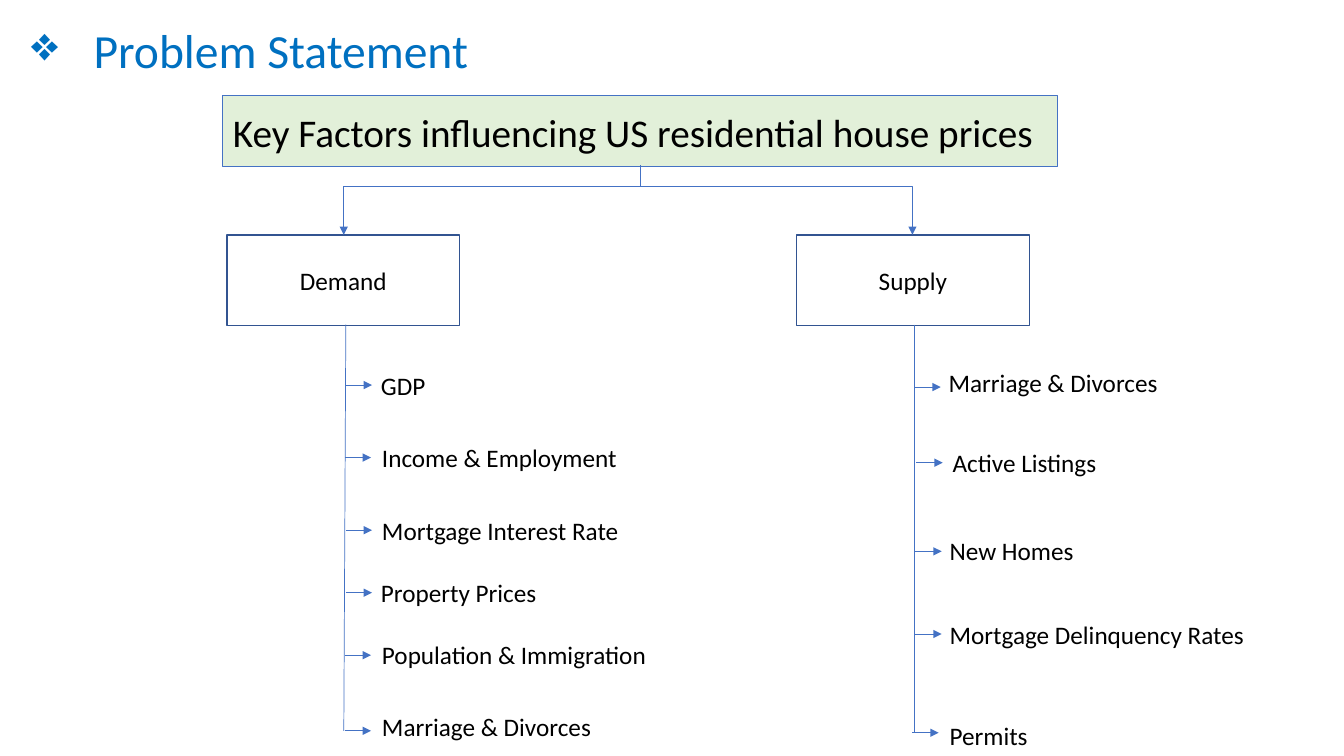
from lxml import etree
from pptx import Presentation
from pptx.dml.color import RGBColor
from pptx.enum import shapes, text
from pptx.oxml import ns
from pptx.util import Inches, Pt

HUES = {"text": "000000", "head": "0070C0", "line": "4472C4",
        "edge": "325491", "green": "E2F0D9"}


def write(shape, words, size, hue="text", align=text.PP_ALIGN.LEFT):
    frame = shape.text_frame
    frame.word_wrap = True
    para = frame.paragraphs[0]
    para.alignment = align
    run = para.add_run()
    run.text = words
    run.font.name = "Calibri"
    run.font.size = Pt(size)
    run.font.color.rgb = RGBColor.from_string(HUES[hue])
    return para


def link(group, ends, arrow=True, bent=False):
    kind = shapes.MSO_CONNECTOR.ELBOW if bent else shapes.MSO_CONNECTOR.STRAIGHT
    wire = group.add_connector(kind, *map(Inches, ends))
    wire.line.width = Pt(0.5)
    wire.line.color.rgb = RGBColor.from_string(HUES["line"])
    props = wire._element.spPr
    if bent:
        props.find(ns.qn("a:prstGeom")).set("prst", "bentConnector2")
    if arrow:
        etree.SubElement(props.find(ns.qn("a:ln")), ns.qn("a:tailEnd"), type="triangle")
    etree.SubElement(props, ns.qn("a:effectLst"))


deck = Presentation()
deck.slide_width, deck.slide_height = Inches(13.33), Inches(7.5)
slide = deck.slides.add_slide(deck.slide_layouts[5])
tree = slide.shapes

title = tree.title
title.left, title.top = Inches(2.21), Inches(0.95)
title.width, title.height = Inches(8.28), Inches(0.7)
title.fill.solid()
title.fill.fore_color.rgb = RGBColor.from_string(HUES["green"])
title.line.color.rgb = RGBColor.from_string(HUES["line"])
title.line.width = Pt(0.75)
frame = title.text_frame
frame.auto_size = text.MSO_AUTO_SIZE.NONE
frame.vertical_anchor = text.MSO_ANCHOR.MIDDLE
frame.margin_top = Inches(0.12)
write(title, "Key Factors influencing US residential house prices", 28).line_spacing = 0.9

head = tree.add_textbox(Inches(0.21), Inches(0.16), Inches(4.78), Inches(0.67))
para = write(head, "Problem Statement", 34, "head")
props = para._p.get_or_add_pPr()
props.set("marL", str(Inches(0.62)))
props.set("indent", str(-Inches(0.62)))
etree.SubElement(props, ns.qn("a:buChar"), char="❖")

link(tree, (6.35, 1.85, 6.35, 1.64), arrow=False)

sides = [
    ("Demand", 2.25, 3.41, (3.43, 3.22, 3.41, 7.25), [
        ("GDP", 3.43, 3.82, 3.68, 3.62),
        ("Income & Employment", 3.42, 4.54, 3.69, 4.34),
        ("Mortgage Interest Rate", 3.43, 5.26, 3.69, 5.06),
        ("Property Prices", 3.43, 5.88, 3.68, 5.68),
        ("Population & Immigration", 3.42, 6.5, 3.69, 6.29),
        ("Marriage & Divorces", 3.42, 7.25, 3.69, 7.01)]),
    ("Supply", 7.9, 9.05, (9.07, 3.22, 9.07, 7.27), [
        ("Marriage & Divorces", 9.07, 3.84, 9.31, 3.59),
        ("Active Listings", 9.09, 4.59, 9.35, 4.39),
        ("New Homes", 9.08, 5.47, 9.32, 5.26),
        ("Mortgage Delinquency Rates", 9.08, 6.29, 9.32, 6.09),
        ("Permits", 9.05, 7.27, 9.32, 7.1)]),
]
for name, left, drop, stem, items in sides:
    box = tree.add_shape(shapes.MSO_SHAPE.RECTANGLE, Inches(left), Inches(2.33),
                         Inches(2.31), Inches(0.9))
    box.shadow.inherit = False
    box.fill.background()
    box.line.color.rgb = RGBColor.from_string(HUES["edge"])
    box.line.width = Pt(1)
    box.text_frame.vertical_anchor = text.MSO_ANCHOR.MIDDLE
    write(box, name, 18, align=text.PP_ALIGN.CENTER)
    link(tree, (6.35, 1.85, drop, 2.33), bent=True)

    group = tree.add_group_shape().shapes
    link(group, stem, arrow=False)
    for label, start, level, x, y in items:
        link(group, (start, level, start + 0.26, level))
        note = group.add_textbox(Inches(x), Inches(y), Inches(3.31), Inches(0.4))
        write(note, label, 18)
        note.text_frame.auto_size = text.MSO_AUTO_SIZE.SHAPE_TO_FIT_TEXT

deck.save("out.pptx")
